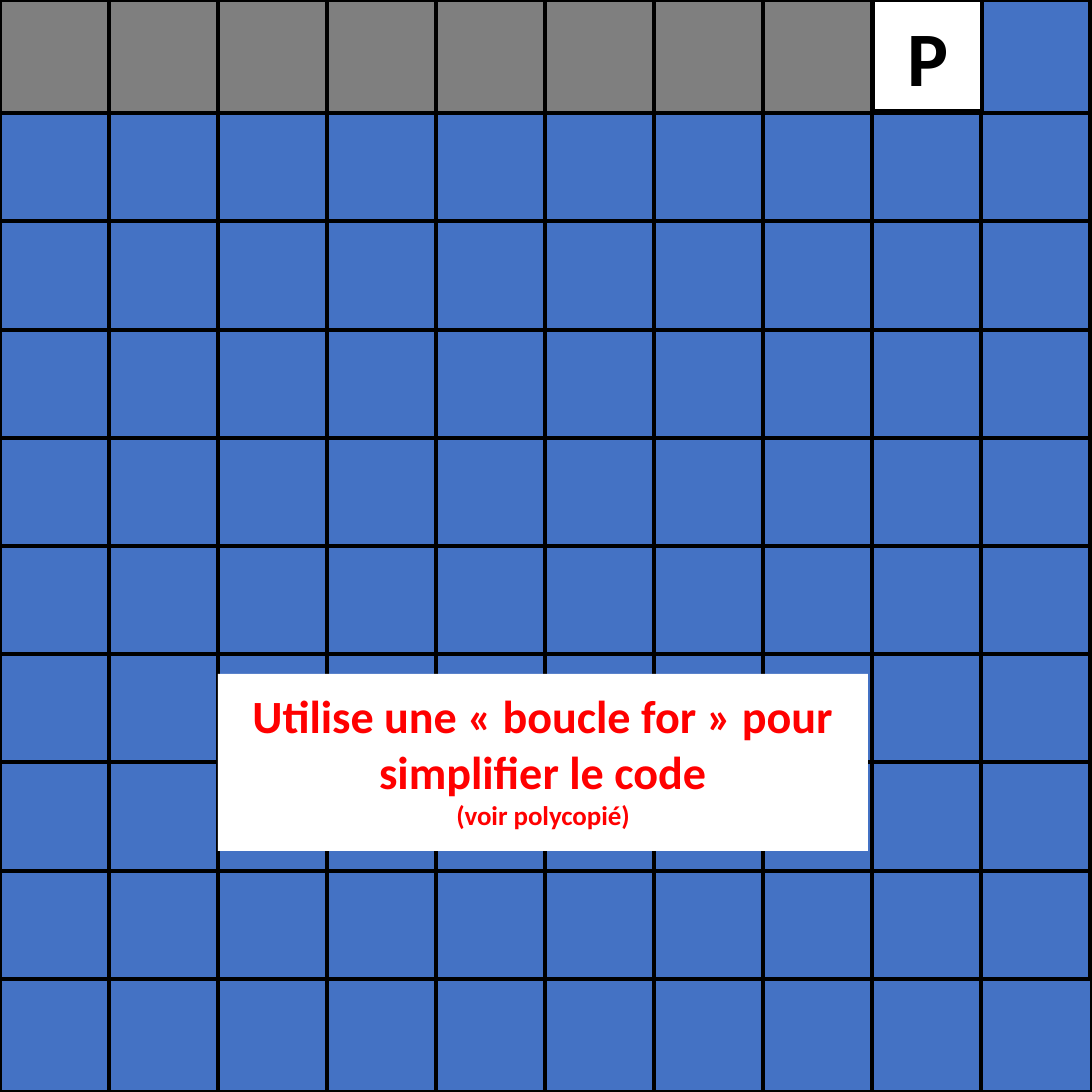
import pptx
import pptx.dml.color
import pptx.enum.shapes
import pptx.enum.text
import pptx.util

SIDE = 1092
SCALE = 914400 / 277.2
GRID = 10
COLUMN_WIDTH = 109
EDGE_ROW_HEIGHT = 113
COLORS = {
    "board": "4472C4",
    "visited": "7F7F7F",
    "white": "FFFFFF",
    "black": "000000",
    "hint": "FF0000",
}


def emu(pixels):
    """Turn pixels into EMU."""
    return pptx.util.Emu(round(pixels * SCALE))


def color(name):
    """Look up a named colour."""
    return pptx.dml.color.RGBColor.from_string(COLORS[name])


def add_rectangle(slide, left, top, width, height, fill, line="black"):
    """Add a filled rectangle, outlined unless line is None."""
    box = slide.shapes.add_shape(
        pptx.enum.shapes.MSO_SHAPE.RECTANGLE,
        emu(left), emu(top), emu(width), emu(height))
    box.shadow.inherit = False
    box.fill.solid()
    box.fill.fore_color.rgb = color(fill)
    if line is None:
        box.line.fill.background()
    else:
        box.line.color.rgb = color(line)
        box.line.width = pptx.util.Pt(1)
    return box


def write_paragraph(para, text, size=12, ink="black", bold=True, font="Calibri"):
    """Write centred, formatted text into a paragraph."""
    para.alignment = pptx.enum.text.PP_ALIGN.CENTER
    span = para.add_run()
    span.text = text
    span.font.name = font
    span.font.size = pptx.util.Pt(size)
    span.font.bold = bold
    span.font.color.rgb = color(ink)


def row_edges():
    """Return the row boundaries: taller outer rows, equal inner rows."""
    inner = (SIDE - 2 * EDGE_ROW_HEIGHT) / (GRID - 2)
    middle = [round(EDGE_ROW_HEIGHT + inner * step) for step in range(GRID - 1)]
    return [0, *middle, SIDE]


def add_board(slide):
    """Add the board and its cells, with the visited cells in grey."""
    add_rectangle(slide, 0, 0, SIDE, SIDE, "board")
    edges = row_edges()
    for row in range(GRID):
        # The board itself forms the two bottom corner cells.
        columns = range(1, GRID - 1) if row == GRID - 1 else range(GRID)
        for column in columns:
            visited = row == 0 and column < 8
            add_rectangle(slide, column * COLUMN_WIDTH, edges[row],
                          COLUMN_WIDTH, edges[row + 1] - edges[row],
                          "visited" if visited else "board")


def add_player(slide):
    """Add the cell that marks the player's position."""
    box = add_rectangle(slide, 8 * COLUMN_WIDTH + 1, 0, COLUMN_WIDTH, 111, "white")
    frame = box.text_frame
    frame.vertical_anchor = pptx.enum.text.MSO_ANCHOR.MIDDLE
    write_paragraph(frame.paragraphs[0], "P", size=20)


def add_hint(slide):
    """Add the hint over the lower part of the board."""
    box = add_rectangle(slide, 218, 674, 650, 177, "white", line=None)
    frame = box.text_frame
    frame.word_wrap = True
    frame.auto_size = pptx.enum.text.MSO_AUTO_SIZE.SHAPE_TO_FIT_TEXT
    frame.vertical_anchor = pptx.enum.text.MSO_ANCHOR.TOP
    write_paragraph(
        frame.paragraphs[0],
        "Utilise une «\u00a0boucle for\u00a0» pour simplifier le code",
        ink="hint")
    write_paragraph(frame.add_paragraph(), "(voir polycopié)", size=7, ink="hint")


def main():
    """Build the slide and save it."""
    deck = pptx.Presentation()
    deck.slide_width = deck.slide_height = emu(SIDE)
    slide = deck.slides.add_slide(deck.slide_layouts[6])
    add_board(slide)
    add_player(slide)
    add_hint(slide)
    deck.save("out.pptx")


main()
